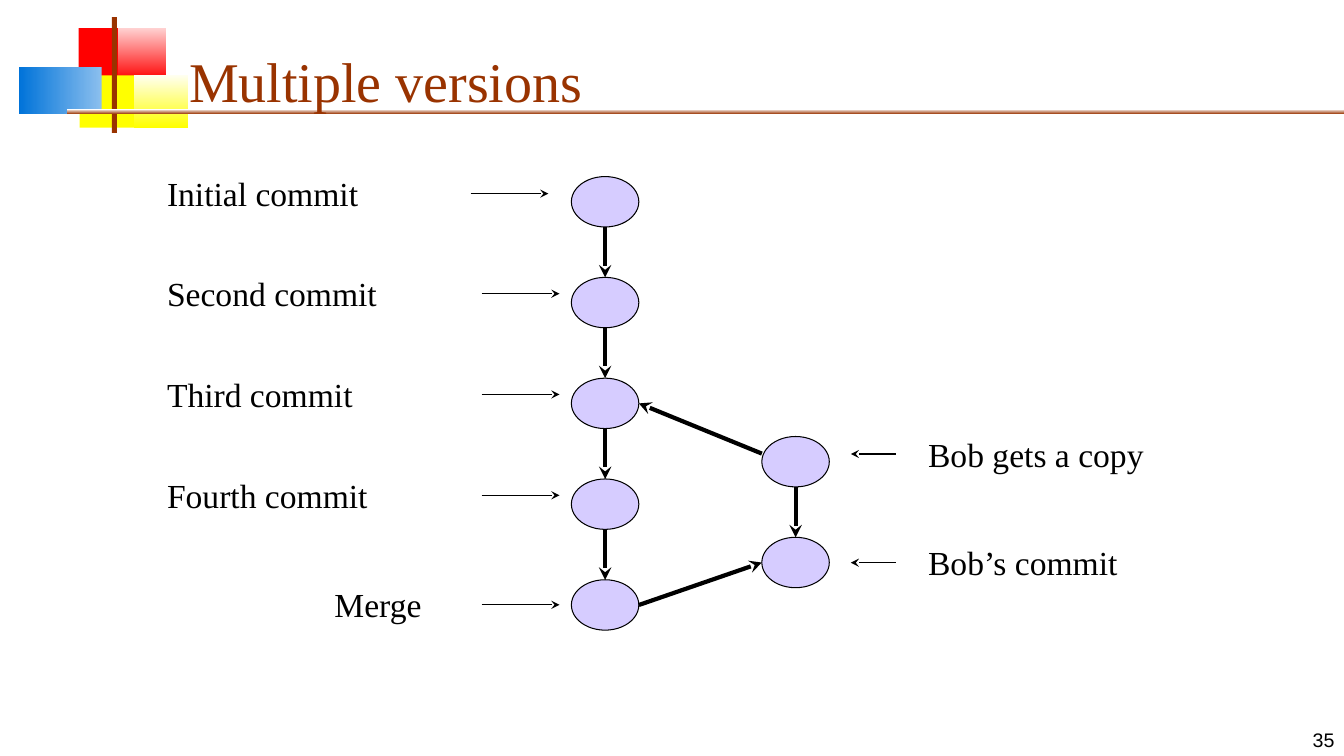
from pptx import Presentation
from pptx.dml.color import RGBColor
from pptx.enum.shapes import MSO_CONNECTOR, MSO_SHAPE
from pptx.enum.text import MSO_ANCHOR, PP_ALIGN
from pptx.oxml.ns import qn
from pptx.util import Cm, Pt
from lxml import etree

BLACK = RGBColor(0x00, 0x00, 0x00)
WHITE = RGBColor(0xFF, 0xFF, 0xFF)
BROWN = RGBColor(0x99, 0x33, 0x00)
RED = RGBColor(0xFF, 0x00, 0x00)
PALE_RED = RGBColor(0xFF, 0xD1, 0xD1)
YELLOW = RGBColor(0xFF, 0xFF, 0x00)
PALE_YELLOW = RGBColor(0xFF, 0xFF, 0xF0)
BLUE = RGBColor(0x00, 0x73, 0xD9)
PALE_BLUE = RGBColor(0x8B, 0xBF, 0xEE)
LAVENDER = RGBColor(0xD6, 0xCC, 0xFF)

TITLE = {"name": "Times New Roman", "size": Pt(40)}
LABEL = {"name": "Times New Roman", "size": Pt(24)}
NUMBER = {"name": "Arial", "size": Pt(14)}

# Commit graph measures, in cm
NODE_W, NODE_H = 1.7, 1.27
STEP = 2.54
MAIN_X, MAIN_Y = 14.4, 4.45
BOB_X, BOB_Y = 19.2, 11.0
LABEL_H, LABEL_MID = 1.27, 0.64
THIN, THICK = 0.75, 3


def add_block(s, x, y, w, h, colors, angle=90):
    """Rectangle in one plain colour or a two-colour gradient."""
    sp = s.shapes.add_shape(MSO_SHAPE.RECTANGLE, Cm(x), Cm(y), Cm(w), Cm(h))
    sp.shadow.inherit = False
    sp.line.fill.background()
    if len(colors) == 1:
        sp.fill.solid()
        sp.fill.fore_color.rgb = colors[0]
        return
    sp.fill.gradient()
    sp.fill.gradient_angle = angle
    for stop, position, color in zip(sp.fill.gradient_stops, (0, 1), colors):
        stop.position = position
        stop.color.rgb = color


def add_text(s, x, y, w, h, text, fmt, color=BLACK,
             anchor=MSO_ANCHOR.TOP, align=PP_ALIGN.LEFT):
    tf = s.shapes.add_textbox(Cm(x), Cm(y), Cm(w), Cm(h)).text_frame
    tf.word_wrap = True
    tf.vertical_anchor = anchor
    p = tf.paragraphs[0]
    p.alignment = align
    r = p.add_run()
    r.text = text
    for key, value in fmt.items():
        setattr(r.font, key, value)
    r.font.color.rgb = color


def add_node(s, x, y):
    sp = s.shapes.add_shape(MSO_SHAPE.OVAL, Cm(x), Cm(y), Cm(NODE_W), Cm(NODE_H))
    sp.shadow.inherit = False
    sp.fill.solid()
    sp.fill.fore_color.rgb = LAVENDER
    sp.line.color.rgb = BLACK
    sp.line.width = Pt(THIN)


def add_arrow(s, x1, y1, x2, y2, width):
    cx = s.shapes.add_connector(MSO_CONNECTOR.STRAIGHT, Cm(x1), Cm(y1), Cm(x2), Cm(y2))
    cx.line.color.rgb = BLACK
    cx.line.width = Pt(width)
    etree.SubElement(cx.line._get_or_add_ln(), qn("a:tailEnd"), type="stealth")
    etree.SubElement(cx._element.spPr, qn("a:effectLst"))


def add_branch(s, x, y, count):
    """Column of commits, each with a thick arrow to the next."""
    for i in range(count):
        top = y + i * STEP
        add_node(s, x, top)
        if i:
            mid = x + NODE_W / 2
            add_arrow(s, mid, top - STEP + NODE_H, mid, top, THICK)


def add_label(s, x, y, w, text, start, end):
    """Label with a thin arrow that points at its commit."""
    add_text(s, x, y, w, LABEL_H, text, LABEL)
    add_arrow(s, start, y + LABEL_MID, end, y + LABEL_MID, THIN)


def main():
    prs = Presentation()
    prs.slide_width, prs.slide_height = Cm(33.87), Cm(19.05)
    s = prs.slides.add_slide(prs.slide_layouts[6])

    # Corner decoration and title rule
    add_block(s, 1.98, 0.71, 1.19, 1.32, [RED])
    add_block(s, 2.97, 0.71, 1.22, 1.32, [RED, PALE_RED])
    add_block(s, 2.01, 1.9, 1.57, 1.32, [YELLOW])
    add_block(s, 3.38, 1.9, 1.37, 1.32, [YELLOW, PALE_YELLOW])
    add_block(s, 0.48, 1.7, 2.08, 1.17, [PALE_BLUE, BLUE], 180)
    add_block(s, 2.82, 0.43, 0.13, 2.92, [BROWN])
    add_block(s, 1.7, 2.75, 32.16, 0.13, [BROWN, WHITE])

    # Title and slide number
    add_text(s, 4.52, 0.64, 28.85, 2.34, "Multiple versions", TITLE, BROWN,
             MSO_ANCHOR.BOTTOM)
    add_text(s, 26.82, 17.78, 7.06, 1.27, "35", NUMBER,
             anchor=MSO_ANCHOR.BOTTOM, align=PP_ALIGN.RIGHT)

    # Both lines of commits
    add_branch(s, MAIN_X, MAIN_Y, 5)
    add_branch(s, BOB_X, BOB_Y, 2)

    # Links between the two lines
    main_right = MAIN_X + NODE_W
    add_arrow(s, BOB_X, 11.43, main_right, MAIN_Y + 2 * STEP + NODE_H / 2, THICK)
    add_arrow(s, main_right, MAIN_Y + 4 * STEP + NODE_H / 2,
              BOB_X, BOB_Y + STEP + NODE_H / 2, THICK)

    # Labels on the left end where their arrows start
    for text, x, y, start in [
        ("Initial commit", 3.96, 4.24, 11.86),
        ("Second commit", 3.96, 6.76, 12.14),
        ("Third commit", 3.96, 9.3, 12.14),
        ("Fourth commit", 3.96, 11.84, 12.14),
        ("Merge", 8.18, 14.6, 12.14),
    ]:
        add_label(s, x, y, start - x, text, start, start + 1.96)

    # Labels on the right
    for text, y, w in [("Bob gets a copy", 10.8, 8), ("Bob’s commit", 13.54, 7.11)]:
        add_label(s, 23.14, y, w, text, 22.58, 21.44)

    prs.save("out.pptx")


if __name__ == "__main__":
    main()
